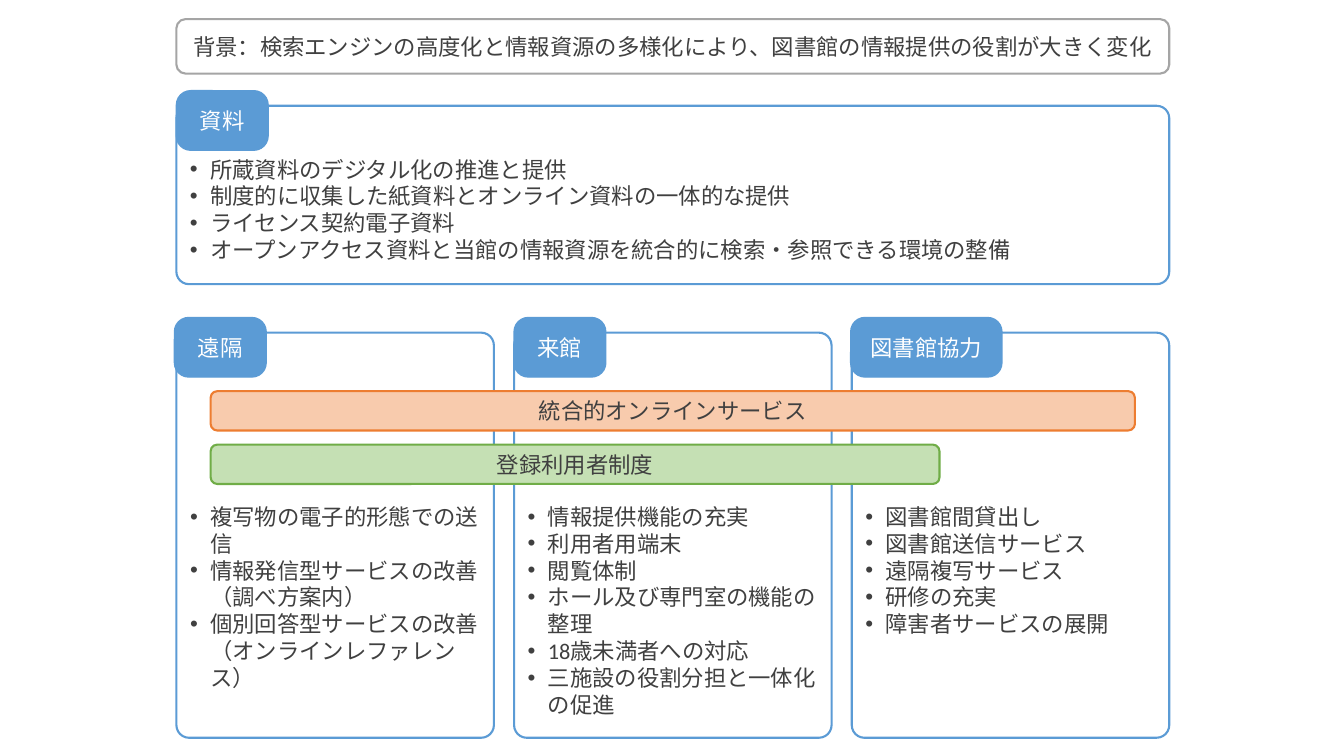
from pptx import Presentation
from pptx.dml.color import RGBColor
from pptx.enum.shapes import MSO_SHAPE as Shape
from pptx.enum.text import MSO_ANCHOR as Anchor, PP_ALIGN as Align
from pptx.oxml.ns import qn
from pptx.util import Pt
from lxml.etree import SubElement

# Content
BACKGROUND = "背景：検索エンジンの高度化と情報資源の多様化により、図書館の情報提供の役割が大きく変化"
MATERIALS = ("資料", [
    "所蔵資料のデジタル化の推進と提供",
    "制度的に収集した紙資料とオンライン資料の一体的な提供",
    "ライセンス契約電子資料",
    "オープンアクセス資料と当館の情報資源を統合的に検索・参照できる環境の整備",
])
# Tab label, tab shift from the panel's left edge, tab width, bullets
SERVICES = [
    ("遠隔", -1.4, 65.5, [
        "複写物の電子的形態での送信",
        "情報発信型サービスの改善（調べ方案内）",
        "個別回答型サービスの改善（オンラインレファレンス）",
    ]),
    ("来館", 0, 65.5, [
        "情報提供機能の充実",
        "利用者用端末",
        "閲覧体制",
        "ホール及び専門室の機能の整理",
        "18歳未満者への対応",
        "三施設の役割分担と一体化の促進",
    ]),
    ("図書館協力", -0.7, 108, [
        "図書館間貸出し",
        "図書館送信サービス",
        "遠隔複写サービス",
        "研修の充実",
        "障害者サービスの展開",
    ]),
]
# Label, width, fill, line
BANDS = [
    ("統合的オンラインサービス", 660.2, "peach", "orange"),
    ("登録利用者制度", 520.6, "mint", "green"),
]
COLORS = {
    "text": "404040", "white": "FFFFFF", "gray": "A5A5A5", "blue": "5B9BD5",
    "peach": "F8CBAD", "orange": "ED7D31", "mint": "C5E0B4", "green": "70AD47",
}

# Layout in points
LEFT, WIDTH = 126, 709.2
PANEL_WIDTH, PANEL_PITCH = 226.8, 241.2
MATERIALS_TOP, SERVICES_TOP = 75.6, 237.6
TAB_RISE, TAB_HEIGHT, TAB_WIDTH = 10.8, 42.5, 65.5
BAND_LEFT, BAND_TOP, BAND_PITCH, BAND_HEIGHT = 150.5, 279.4, 38.2, 28.1
INDENT = 14.4


def color(name):
    return RGBColor.from_string(COLORS[name])


def add_box(left, top, width, height, line, fill=None, weight=1.5, corner=None):
    box = page.shapes.add_shape(
        Shape.ROUNDED_RECTANGLE, Pt(left), Pt(top), Pt(width), Pt(height))
    box.shadow.inherit = False
    box.line.color.rgb = color(line)
    box.line.width = Pt(weight)
    if fill:
        box.fill.solid()
        box.fill.fore_color.rgb = color(fill)
    else:
        box.fill.background()
    if corner is not None:
        box.adjustments[0] = corner
    box.text_frame.word_wrap = True
    return box


def style(para, font_color, align):
    para.alignment = align
    para.font.name = "Calibri"
    para.font.size = Pt(16)
    para.font.color.rgb = color(font_color)


def add_label(box, label, font_color="text"):
    box.text_frame.vertical_anchor = Anchor.MIDDLE
    para = box.text_frame.paragraphs[0]
    para.text = label
    style(para, font_color, Align.CENTER)


def add_bullets(box, items, top_inset):
    frame = box.text_frame
    frame.vertical_anchor = Anchor.TOP
    frame.margin_top = Pt(top_inset)
    frame.text = "\n".join(items)
    for para in frame.paragraphs:
        style(para, "text", Align.LEFT)
        properties = para._p.get_or_add_pPr()
        properties.set("marL", str(Pt(INDENT)))
        properties.set("indent", str(-Pt(INDENT)))
        bullet_font = SubElement(properties, qn("a:buFont"))
        bullet_font.set("typeface", "Arial")
        SubElement(properties, qn("a:buChar")).set("char", "•")
        properties.append(properties.find(qn("a:defRPr")))


def add_tab(label, left, panel_top, width):
    tab = add_box(left, panel_top - TAB_RISE, width, TAB_HEIGHT,
                  "blue", "blue", weight=1, corner=0.24)
    add_label(tab, label, "white")


deck = Presentation()
deck.slide_width, deck.slide_height = Pt(960), Pt(540)
page = deck.slides.add_slide(deck.slide_layouts[6])

# Background statement
add_label(add_box(LEFT, 13.7, WIDTH, 38.9, "gray"), BACKGROUND)

# Materials panel
materials_label, materials_items = MATERIALS
materials = add_box(LEFT, MATERIALS_TOP, WIDTH, 127.4, "blue", corner=0.07)
add_bullets(materials, materials_items, 33)

# Service panels
panel_lefts = [LEFT + index * PANEL_PITCH for index in range(len(SERVICES))]
for left, (label, shift, tab_width, items) in zip(panel_lefts, SERVICES):
    panel = add_box(left, SERVICES_TOP, PANEL_WIDTH, 289.4, "blue", corner=0.04)
    add_bullets(panel, items, 119)

# Bands across the service panels
for index, (label, width, fill, line) in enumerate(BANDS):
    band = add_box(BAND_LEFT, BAND_TOP + index * BAND_PITCH, width, BAND_HEIGHT,
                   line, fill)
    add_label(band, label)

# Tabs in front of the panels
for left, (label, shift, tab_width, items) in zip(panel_lefts, SERVICES):
    add_tab(label, left + shift, SERVICES_TOP, tab_width)
add_tab(materials_label, LEFT, MATERIALS_TOP, TAB_WIDTH)

deck.save("out.pptx")
